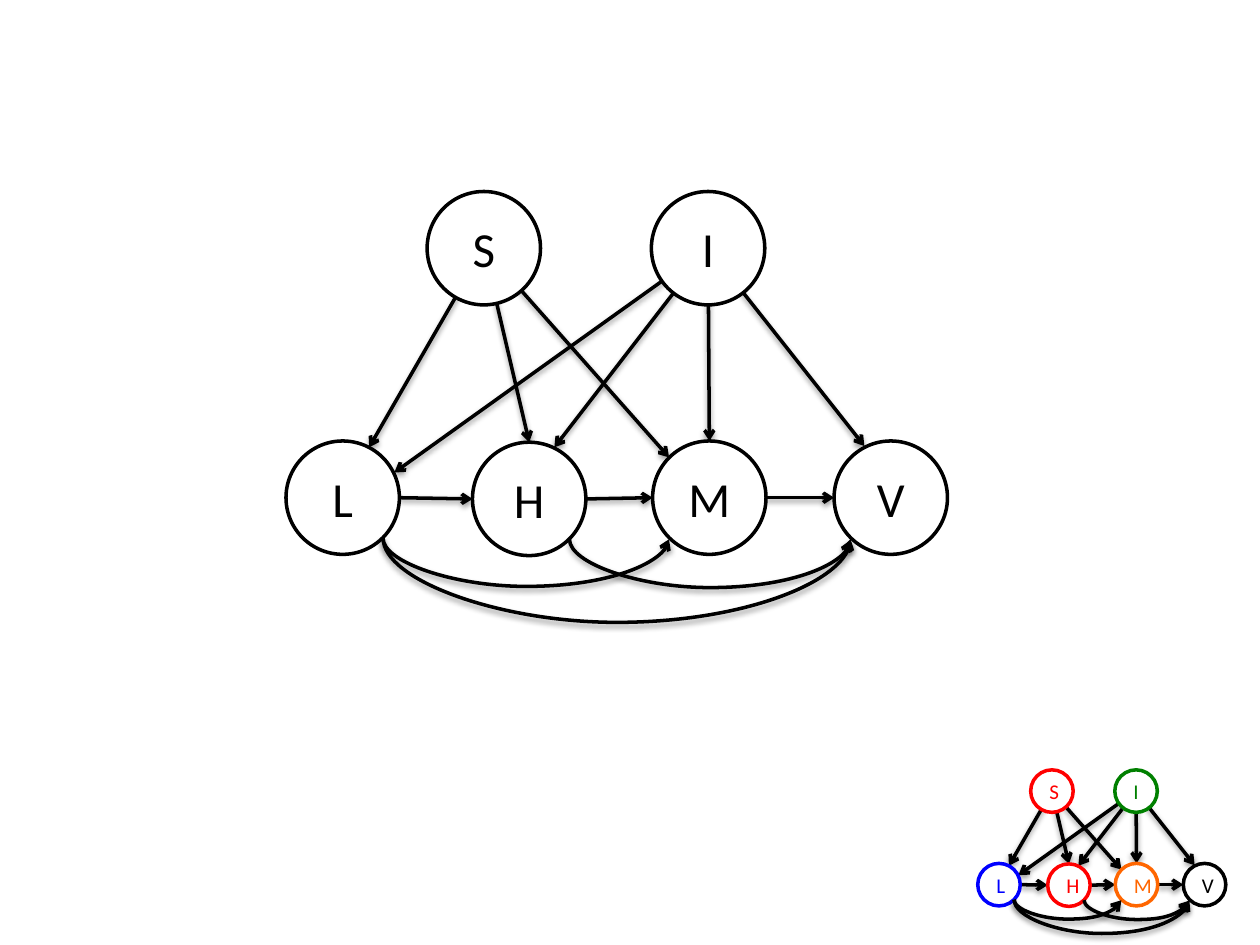
from lxml import etree
from pptx import Presentation
from pptx import util as u
from pptx.dml.color import RGBColor
from pptx.enum import shapes, text
from pptx.oxml import parse_xml
from pptx.oxml.ns import nsdecls, qn

D = 0.9  # circle diameter
R = D / 2
BLACK = "000000"
# name: centre of the circle
NODES = {
    "V": (7.07, 3.95), "H": (4.2, 3.96), "M": (5.63, 3.95),
    "L": (2.72, 3.95), "I": (5.62, 1.97), "S": (3.84, 1.97),
}
# source, target, arrow tip measured from the target's centre
DOWN = [
    ("S", "L", 0.21, -0.4), ("S", "H", 0, -R), ("S", "M", -0.32, -0.32),
    ("I", "L", 0.41, -0.2), ("I", "H", 0.2, -0.41), ("I", "M", 0, -R),
    ("I", "V", -0.21, -0.41),
]
CHAIN = "LHMV"
# source, target, depth of the curve below its ends
ARCS = [("H", "V", 0.39), ("L", "V", 0.68), ("L", "M", 0.39)]
ARC_DROP = 0.01
ARC_END = 0.32  # ends sit on the circles' lower diagonals

DIAGRAMS = [
    {"left": 2.27, "top": 1.52, "scale": 1, "size": 28, "colors": {},
     "align": text.PP_ALIGN.CENTER, "vert": "horz"},
    {"left": 7.76, "top": 6.11, "scale": 0.375, "size": 12,
     "colors": {"S": "FF0000", "I": "008000", "L": "0000FF",
                "H": "FF0000", "M": "FF6600"},
     "align": text.PP_ALIGN.JUSTIFY, "vert": "wordArtVert"},
]
SHADOW = (
    f'<a:effectLst {nsdecls("a")}><a:outerShdw blurRad="40000" dist="20000" '
    'dir="5400000" rotWithShape="0"><a:srgbClr val="000000">'
    '<a:alpha val="38000"/></a:srgbClr></a:outerShdw></a:effectLst>')


def rgb(value):
    return RGBColor.from_string(value)


def add_arrow(slide, kind, *ends):
    c = slide.shapes.add_connector(kind, *(u.Inches(v) for v in ends))
    c.line.color.rgb = rgb(BLACK)
    c.line.width = u.Pt(2)
    etree.SubElement(c.line._get_or_add_ln(), qn("a:tailEnd"), type="arrow")
    c.element.spPr.append(parse_xml(SHADOW))
    return c


def add_arc(slide, x1, x2, y, depth, drop):
    """Curved arrow from x1 to x2 that sags by depth, made by a quarter turn."""
    cx, cy, half = (x1 + x2) / 2, y + drop / 2, (x2 - x1) / 2
    c = add_arrow(slide, shapes.MSO_CONNECTOR.CURVE,
                  cx + drop / 2, cy - half, cx - drop / 2, cy + half)
    c.element.spPr.find(qn("a:xfrm")).set("rot", "16200000")
    guides = c.element.spPr.find(qn("a:prstGeom")).get_or_add_avLst()
    etree.SubElement(guides, qn("a:gd"), name="adj1",
                     fmla=f"val {round(depth / drop * 100000)}")


def add_node(slide, name, x, y, d, look):
    sp = slide.shapes.add_shape(
        shapes.MSO_SHAPE.OVAL, *(u.Inches(v) for v in (x - d / 2, y - d / 2, d, d)))
    color = rgb(look["colors"].get(name, BLACK))
    sp.shadow.inherit = False
    sp.fill.solid()
    sp.fill.fore_color.rgb = rgb("FFFFFF")
    sp.line.color.rgb = color
    sp.line.width = u.Pt(2)
    tf = sp.text_frame
    tf.vertical_anchor = text.MSO_ANCHOR.MIDDLE
    tf._txBody.bodyPr.set("vert", look["vert"])
    p = tf.paragraphs[0]
    p.alignment = look["align"]
    r = p.add_run()
    r.text = name
    for key, value in {"name": "Calibri", "size": u.Pt(look["size"])}.items():
        setattr(r.font, key, value)
    r.font.color.rgb = color


def add_diagram(slide, look):
    k = look["scale"]
    x0 = NODES["L"][0] - R
    y0 = NODES["S"][1] - R

    def place(x, y):
        return look["left"] + (x - x0) * k, look["top"] + (y - y0) * k

    straight = shapes.MSO_CONNECTOR.STRAIGHT
    for a, b, dx, dy in DOWN:
        bx, by = NODES[b]
        add_arrow(slide, straight, *place(*NODES[a]), *place(bx + dx, by + dy))
    for a, b in zip(CHAIN, CHAIN[1:]):
        (ax, ay), (bx, by) = NODES[a], NODES[b]
        add_arrow(slide, straight, *place(ax + R, ay), *place(bx - R, by))
    for name, (x, y) in NODES.items():
        add_node(slide, name, *place(x, y), D * k, look)
    for a, b, depth in ARCS:
        x1, y = place(NODES[a][0] + ARC_END, NODES[a][1] + ARC_END)
        x2, _ = place(NODES[b][0] - ARC_END, 0)
        add_arc(slide, x1, x2, y, depth * k, ARC_DROP * k)


prs = Presentation()
prs.slide_width, prs.slide_height = u.Inches(10), u.Inches(7.5)
s = prs.slides.add_slide(prs.slide_layouts[6])
for diagram in DIAGRAMS:
    add_diagram(s, diagram)
prs.save("out.pptx")
